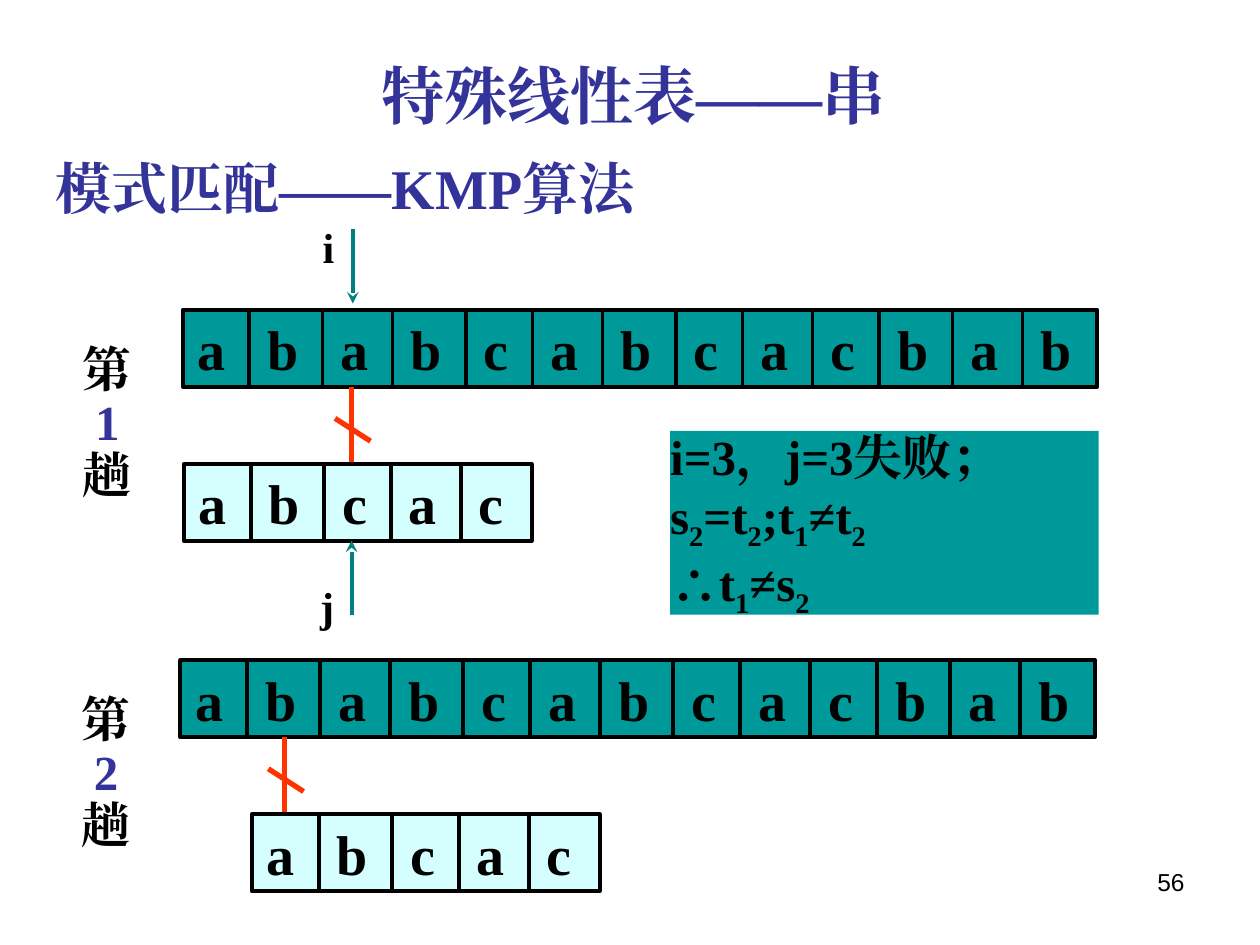
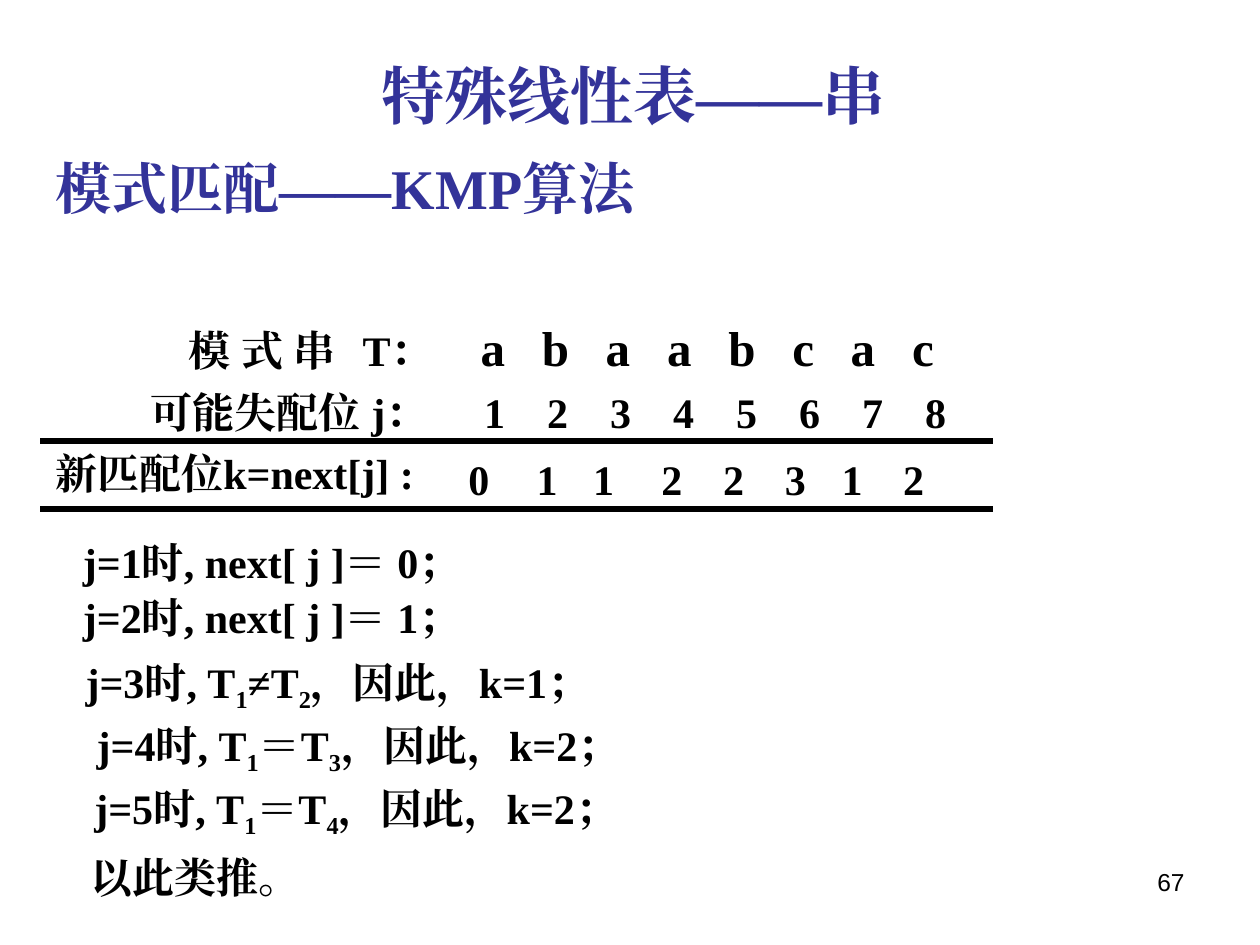
from dataclasses import dataclass
from itertools import accumulate

from lxml.etree import SubElement
from pptx import Presentation
from pptx.dml.color import RGBColor
from pptx.enum.shapes import MSO_CONNECTOR, MSO_SHAPE
from pptx.enum.text import MSO_ANCHOR, PP_ALIGN
from pptx.oxml.ns import qn
from pptx.util import Pt

COLORS = {
    "black": "000000",
    "heading": "333399",
    "text_strip": "009999",
    "pattern_strip": "D5FFFF",
    "mismatch": "FF3300",
    "pointer": "008080",
    "text_shadow": "808080",
}
SERIF = "Times New Roman"
GLYPH_WIDTHS = {"a": 0.5, "b": 0.556, "c": 0.444}
LETTER_GAP = 0.75
STRIP_HEIGHT = 44
STRIP_INSET = 8.6
STRIP_SIZE = 32
DIVIDER_GAP = 10.5
MAIN_TEXT = "ababcabcacbab"
PATTERN = "abcac"


@dataclass(frozen=True)
class Piece:
    text: str
    size: float = 24
    color: str = "black"
    font: str = SERIF
    bold: bool = True
    shadow: bool = False


@dataclass(frozen=True)
class Line:
    pieces: tuple
    tabs: tuple = ()
    before: float = 0
    spacing: float = 1
    indent: float = 0
    align: PP_ALIGN = PP_ALIGN.LEFT


@dataclass(frozen=True)
class Box:
    left: float
    top: float
    width: float
    height: float
    lines: tuple


@dataclass(frozen=True)
class Strip:
    left: float
    top: float
    width: float
    letters: str
    fill: str


@dataclass(frozen=True)
class Trial:
    number: int
    label_left: float
    label_top: float
    text_left: float
    text_top: float
    pattern_left: float
    mismatch_x: float


@dataclass(frozen=True)
class Pointer:
    name: str
    left: float
    top: float
    x: float
    start: float
    end: float


TRIALS = (
    Trial(1, 40.3, 193.7, 104.4, 177.1, 105.1, 200.9),
    Trial(2, 39.6, 393.8, 103, 377.3, 144, 162.7),
)
POINTERS = (
    Pointer("i", 184.3, 123.1, 201.6, 131, 173.5),
    Pointer("j", 182.9, 328.3, 200.9, 351.4, 308.9),
)
NEXT_VALUES = (
    (260.6, "0"), (299.5, "1"), (331.9, "1"), (370.8, "2"),
    (406.1, "2"), (441.4, "3"), (473.8, "1"), (509, "2"),
)
CASES = (
    Box(40.3, 300.2, 660, 70.6, (
        Line((Piece("j=1时, next[ j ]＝ 0；"),), spacing=1.1),
        Line((Piece("j=2时, next[ j ]＝ 1；"),), spacing=1.1),
    )),
    Box(41.8, 371.5, 466, 40.3, (Line((Piece("j=3时, T_1≠T_2，因此，k=1；"),)),)),
    Box(48.2, 407.5, 670, 40.3, (Line((Piece("j=4时, T_1＝T_3，因此，k=2；"),)),)),
    Box(46.8, 443.5, 636, 40.3, (Line((Piece("j=5时, T_1＝T_4，因此，k=2；"),)),)),
    Box(44.6, 483.1, 434, 36, (Line((Piece("以此类推。"),)),)),
)


def rgb(name: str) -> RGBColor:
    return RGBColor.from_string(COLORS[name])


def letter_starts(letters: str, size: float, first: float = 0) -> tuple:
    advances = [size * (GLYPH_WIDTHS[letter] + LETTER_GAP) for letter in letters[:-1]]
    return tuple(round(start, 2) for start in accumulate(advances, initial=first))


def add_run(paragraph, text: str, piece: Piece, subscript: bool = False) -> None:
    run = paragraph.add_run()
    run.text = text
    font = run.font
    font.size, font.bold, font.name = Pt(piece.size), piece.bold, piece.font
    font.color.rgb = rgb(piece.color)
    properties = run._r.get_or_add_rPr()
    latin = properties.find(qn("a:latin"))
    east_asian = SubElement(properties, qn("a:ea"), typeface=piece.font)
    latin.addnext(east_asian)
    if subscript:
        properties.set("baseline", "-25000")
    if piece.shadow:
        effects = SubElement(properties, qn("a:effectLst"))
        shadow = SubElement(effects, qn("a:outerShdw"), dist="25400", dir="2700000")
        SubElement(shadow, qn("a:srgbClr"), val=COLORS["text_shadow"])
        latin.addprevious(effects)


def fill_frame(frame, lines: tuple, insets: tuple, anchor: MSO_ANCHOR) -> None:
    frame.word_wrap = True
    frame.vertical_anchor = anchor
    frame.margin_left, frame.margin_top, frame.margin_right, frame.margin_bottom = map(Pt, insets)
    for index, line in enumerate(lines):
        paragraph = frame.add_paragraph() if index else frame.paragraphs[0]
        paragraph.alignment = line.align
        paragraph.line_spacing = line.spacing
        if line.before:
            paragraph.space_before = Pt(line.before)
        properties = paragraph._p.get_or_add_pPr()
        if line.indent:
            properties.set("marL", str(Pt(line.indent)))
        if line.tabs:
            stops = SubElement(properties, qn("a:tabLst"))
            for position in line.tabs:
                SubElement(stops, qn("a:tab"), pos=str(Pt(position)), algn="l")
        for piece in line.pieces:
            start, *rest = piece.text.split("_")
            add_run(paragraph, start, piece)
            for part in rest:
                add_run(paragraph, part[0], piece, subscript=True)
                if part[1:]:
                    add_run(paragraph, part[1:], piece)


def add_text(slide, box: Box, side: float = 7.2) -> None:
    shape = slide.shapes.add_textbox(Pt(box.left), Pt(box.top), Pt(box.width), Pt(box.height))
    fill_frame(shape.text_frame, box.lines, (side, 3.6, side, 3.6), MSO_ANCHOR.TOP)


def add_panel(slide, box: Box, fill: str, insets: tuple, outlined: bool) -> None:
    shape = slide.shapes.add_shape(
        MSO_SHAPE.RECTANGLE, Pt(box.left), Pt(box.top), Pt(box.width), Pt(box.height)
    )
    shape.shadow.inherit = False
    shape.fill.solid()
    shape.fill.fore_color.rgb = rgb(fill)
    if outlined:
        shape.line.color.rgb = rgb("black")
        shape.line.width = Pt(2.25)
    else:
        shape.line.fill.background()
    fill_frame(shape.text_frame, box.lines, insets, MSO_ANCHOR.MIDDLE)


def add_line(slide, start: tuple, end: tuple, color: str, width: float, arrow: bool = False) -> None:
    connector = slide.shapes.add_connector(MSO_CONNECTOR.STRAIGHT, *map(Pt, start + end))
    connector.line.color.rgb = rgb(color)
    connector.line.width = Pt(width)
    if arrow:
        SubElement(connector.line._get_or_add_ln(), qn("a:tailEnd"), type="stealth")
    SubElement(connector._element.spPr, qn("a:effectLst"))


def add_strip(slide, strip: Strip) -> None:
    starts = letter_starts(strip.letters, STRIP_SIZE)[1:]
    line = Line((Piece("\t".join(strip.letters), STRIP_SIZE),), tabs=starts)
    box = Box(strip.left, strip.top, strip.width, STRIP_HEIGHT, (line,))
    add_panel(slide, box, strip.fill, (STRIP_INSET, 0, 0, 0), outlined=True)
    for start in starts:
        x = strip.left + STRIP_INSET + start - DIVIDER_GAP
        add_line(slide, (x, strip.top), (x, strip.top + STRIP_HEIGHT), "black", 2.25)


def add_trial(slide, trial: Trial) -> None:
    text_bottom = trial.text_top + STRIP_HEIGHT
    pattern_top = trial.text_top + 2 * STRIP_HEIGHT
    add_strip(slide, Strip(trial.text_left, trial.text_top, 522.7, MAIN_TEXT, "text_strip"))
    x = trial.mismatch_x
    add_line(slide, (x, text_bottom), (x, pattern_top), "mismatch", 3)
    add_line(slide, (x - 9.4, text_bottom + 18), (x + 10.8, text_bottom + 31), "mismatch", 3)
    add_strip(slide, Strip(trial.pattern_left, pattern_top, 198.7, PATTERN, "pattern_strip"))
    add_text(slide, Box(trial.label_left, trial.label_top, 51.1, 98, (
        Line((Piece("第", 28),), spacing=0.9),
        Line((Piece(str(trial.number), 28, "heading"),), spacing=0.9, indent=7),
        Line((Piece("趟", 28),), spacing=0.9),
    )))


def add_pointer(slide, pointer: Pointer) -> None:
    line = Line((Piece(pointer.name),))
    add_text(slide, Box(pointer.left, pointer.top, 18, 36, (line,)), side=0)
    add_line(slide, (pointer.x, pointer.start), (pointer.x, pointer.end), "pointer", 2.25, arrow=True)


def add_base_slide(presentation, number: int):
    slide = presentation.slides.add_slide(presentation.slide_layouts[6])
    title = Piece("特殊线性表——串", 36, "heading", shadow=True)
    add_text(slide, Box(211, 28.8, 343.4, 50.4, (Line((title,)),)))
    subtitle = Piece("模式匹配——KMP算法", 32, "heading")
    add_text(slide, Box(24.5, 84.2, 588, 46, (Line((subtitle,)),)))
    page = Piece(str(number), 14, font="Arial", bold=False)
    add_text(slide, Box(516.2, 491.8, 167.8, 37.4, (Line((page,), align=PP_ALIGN.RIGHT),)))
    return slide


def build_matching_slide(presentation) -> None:
    slide = add_base_slide(presentation, 56)
    conclusion = Box(383, 246.2, 244.8, 105.1, (
        Line((Piece("i=3，j=3失败； s_2=t_2;t_1≠t_2", 28),)),
        Line((Piece("∴t_1≠s_2", 28),)),
    ))
    add_panel(slide, conclusion, "text_strip", (0, 0, 0, 0), outlined=False)
    for trial in TRIALS:
        add_trial(slide, trial)
    for pointer in POINTERS:
        add_pointer(slide, pointer)


def build_next_slide(presentation) -> None:
    slide = add_base_slide(presentation, 67)
    pattern = "abaabcac"
    positions = range(1, len(pattern) + 1)
    pattern_tabs = (76.3, 175.7) + letter_starts(pattern, 28, 243)
    position_tabs = (54.6,) + tuple(245 + 36 * (position - 1) for position in positions)
    add_text(slide, Box(24.5, 177.8, 630, 108, (
        Line((Piece("\t模 式 串\tT："), Piece("\t" + "\t".join(pattern), 28)), tabs=pattern_tabs),
        Line((Piece("\t可能失配位 j：\t" + "\t".join(map(str, positions))),),
             tabs=position_tabs, before=6),
        Line((Piece("新匹配位k=next[j] :"),), before=6),
    )))
    for left, value in NEXT_VALUES:
        add_text(slide, Box(left, 255.6, 27, 36, (Line((Piece(value),)),)))
    for y in (252, 290.9):
        add_line(slide, (23, y), (567.4, y), "black", 3)
    for case in CASES:
        add_text(slide, case)


def main() -> None:
    presentation = Presentation()
    presentation.slide_width, presentation.slide_height = Pt(720), Pt(540)
    build_matching_slide(presentation)
    build_next_slide(presentation)
    presentation.save("out.pptx")


if __name__ == "__main__":
    main()
